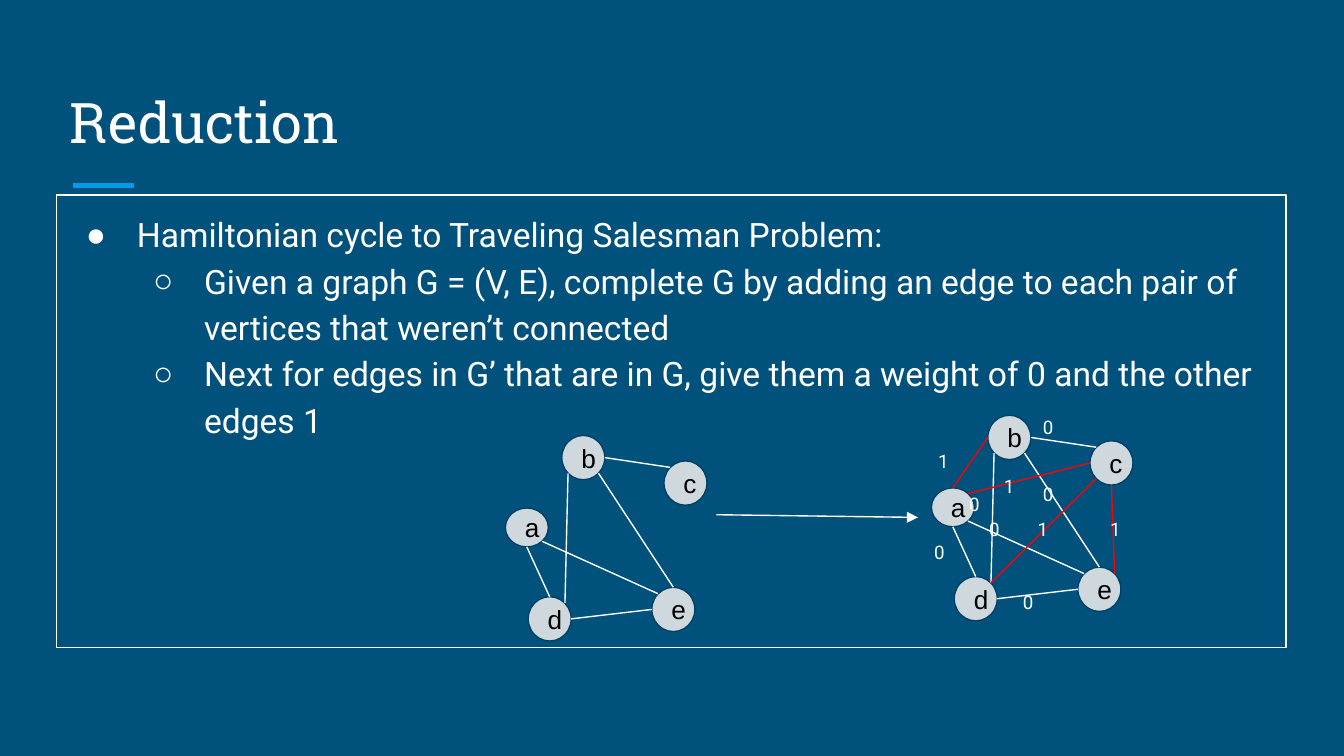
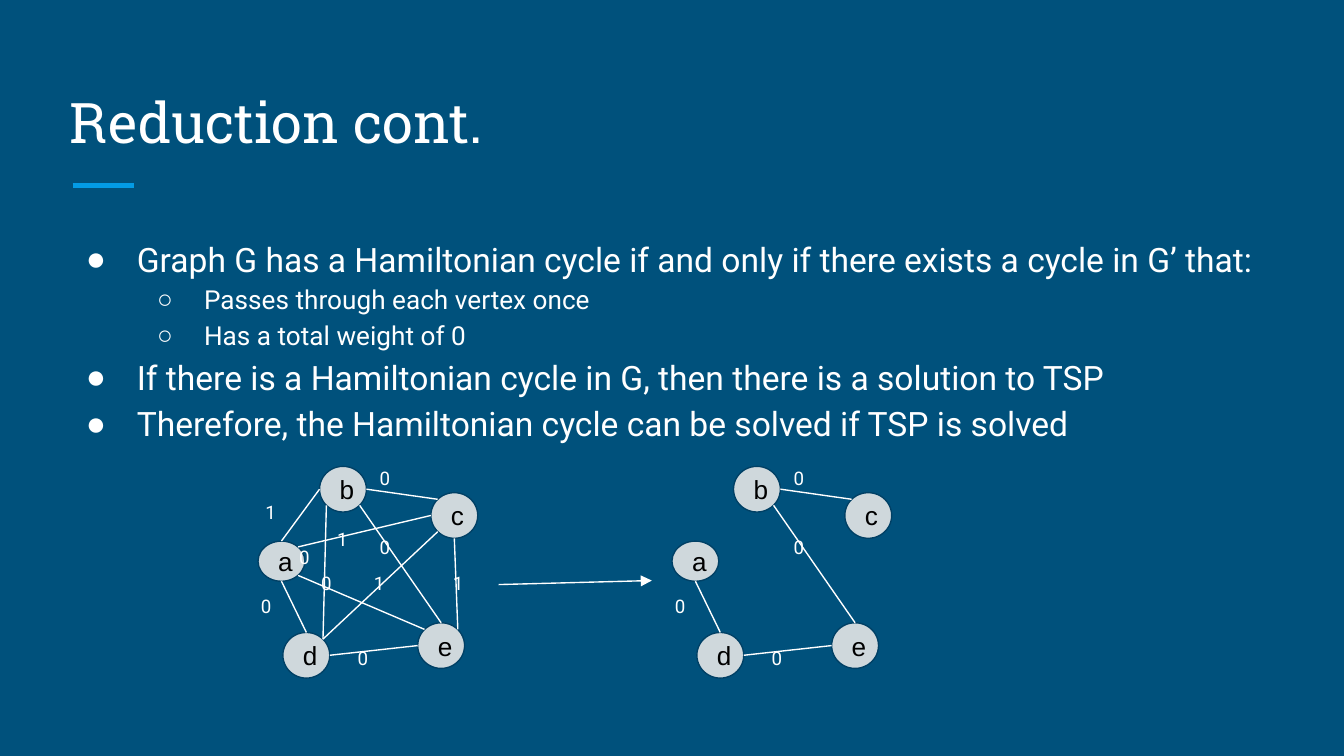
from dataclasses import dataclass
from enum import Enum

from lxml.etree import SubElement
from pptx import Presentation
from pptx.dml.color import RGBColor
from pptx.enum.shapes import MSO_CONNECTOR as Connector
from pptx.enum.shapes import MSO_SHAPE as Shape
from pptx.enum.text import MSO_ANCHOR as Anchor
from pptx.enum.text import MSO_AUTO_SIZE as AutoSize
from pptx.enum.text import PP_ALIGN as Align
from pptx.oxml.ns import qn
from pptx.util import Inches, Pt

NAVY = RGBColor(0x00, 0x51, 0x7C)
ACCENT = RGBColor(0x03, 0x9B, 0xE5)
WHITE = RGBColor(0xFF, 0xFF, 0xFF)
RED = RGBColor(0xFF, 0x00, 0x00)
BLACK = RGBColor(0x00, 0x00, 0x00)
NODE_FILL = RGBColor(0xCF, 0xD8, 0xDC)
NODE_LINE = RGBColor(0x00, 0x40, 0x65)

Point = tuple[float, float]


class Site(Enum):
    TOP = (0, -1)
    BOTTOM = (0, 1)
    LEFT = (-1, 0)
    RIGHT = (1, 0)
    TOP_LEFT = (-0.71, -0.71)
    TOP_RIGHT = (0.71, -0.71)
    BOTTOM_LEFT = (-0.71, 0.71)
    BOTTOM_RIGHT = (0.71, 0.71)


@dataclass(frozen=True)
class Node:
    left: float
    top: float
    height: float = 0.33
    width: float = 0.32

    def site(self, site: Site) -> Point:
        across, down = site.value
        return (self.left + self.width * (1 + across) / 2,
                self.top + self.height * (1 + down) / 2)


@dataclass(frozen=True)
class Edge:
    start: Site
    end: Site
    weight: int
    label: Point


@dataclass(frozen=True)
class Bullet:
    text: str
    level: int = 0
    size: int = 18


@dataclass(frozen=True)
class Graph:
    origin: Point
    edges: tuple[str, ...]
    scale: Point = (1, 1)
    weighted: bool = True
    added_color: RGBColor = WHITE

    def place(self, point: Point) -> Point:
        return (self.origin[0] + point[0] * self.scale[0],
                self.origin[1] + point[1] * self.scale[1])


@dataclass(frozen=True)
class Page:
    title: str
    body_top: float
    framed: bool
    bullets: tuple[Bullet, ...]
    graphs: tuple[Graph, ...]
    arrow: tuple[Point, Point]


NODES = {
    "a": Node(0, 0.54, 0.29),
    "b": Node(0.42, 0),
    "c": Node(1.18, 0.19),
    "d": Node(0.17, 1.2),
    "e": Node(1.09, 1.13),
}
EDGES = {
    "ad": Edge(Site.BOTTOM, Site.TOP, 0, (0.02, 0.85)),
    "ae": Edge(Site.BOTTOM_RIGHT, Site.TOP_LEFT, 0, (0.28, 0.49)),
    "bc": Edge(Site.RIGHT, Site.TOP_LEFT, 0, (0.83, -0.08)),
    "bd": Edge(Site.BOTTOM_LEFT, Site.TOP_RIGHT, 0, (0.43, 0.68)),
    "be": Edge(Site.BOTTOM_RIGHT, Site.TOP, 0, (0.83, 0.42)),
    "de": Edge(Site.RIGHT, Site.LEFT, 0, (0.68, 1.22)),
    "ba": Edge(Site.LEFT, Site.TOP, 1, (0.05, 0.17)),
    "ce": Edge(Site.BOTTOM, Site.TOP_RIGHT, 1, (1.33, 0.68)),
    "cd": Edge(Site.BOTTOM_LEFT, Site.TOP_RIGHT, 1, (0.79, 0.68)),
    "ac": Edge(Site.TOP_RIGHT, Site.LEFT, 1, (0.54, 0.36)),
}
COMPLETE = tuple(EDGES)
GIVEN = tuple(pair for pair, edge in EDGES.items() if edge.weight == 0)
CYCLE = ("ad", "bc", "be", "de")
WIDER = (1.09, 1.03)

PAGES = (
    Page(
        "Reduction", 1.45, True,
        (
            Bullet("Hamiltonian cycle to Traveling Salesman Problem:"),
            Bullet("Given a graph G = (V, E), complete G by adding an edge to each "
                   "pair of vertices that weren’t connected", 1),
            Bullet("Next for edges in G’ that are in G, give them a weight of 0 "
                   "and the other edges 1", 1),
        ),
        (Graph((3.76, 3.24), GIVEN, weighted=False),
         Graph((6.93, 3.09), COMPLETE, added_color=RED)),
        ((5.33, 3.83), (6.83, 3.85)),
    ),
    Page(
        "Reduction cont.", 1.63, False,
        (
            Bullet("Graph G has a Hamiltonian cycle if and only if there exists "
                   "a cycle in G’ that:"),
            Bullet("Passes through each vertex once", 1, 14),
            Bullet("Has a total weight of 0", 1, 14),
            Bullet("If there is a Hamiltonian cycle in G, then there is a solution to TSP"),
            Bullet("Therefore, the Hamiltonian cycle can be solved if TSP is solved"),
        ),
        (Graph((1.92, 3.47), COMPLETE, WIDER),
         Graph((5, 3.47), CYCLE, WIDER)),
        ((3.71, 4.35), (4.85, 4.32)),
    ),
)


def style_font(paragraph, name: str, size: int, color: RGBColor) -> None:
    """Set the typeface, size and colour of a paragraph."""
    font = paragraph.font
    font.name, font.size, font.color.rgb = name, Pt(size), color


def set_frame(frame, anchor: Anchor = Anchor.TOP) -> None:
    """Give a text frame equal insets, wrapping and an anchor."""
    frame.margin_left = frame.margin_right = Inches(0.1)
    frame.margin_top = frame.margin_bottom = Inches(0.1)
    frame.word_wrap, frame.auto_size = True, AutoSize.NONE
    frame.vertical_anchor = anchor


def add_line(slide, start: Point, end: Point, color: RGBColor = WHITE,
             width: float = 0.75, arrow: bool = False) -> None:
    """Draw a straight line, with an arrowhead at its end if asked."""
    ends = [Inches(value) for value in (*start, *end)]
    line = slide.shapes.add_connector(Connector.STRAIGHT, *ends)
    line.line.color.rgb, line.line.width = color, Pt(width)
    properties = line._element.spPr
    if arrow:
        SubElement(properties.find(qn("a:ln")), qn("a:tailEnd"), type="triangle")
    SubElement(properties, qn("a:effectLst"))


def add_title(slide, text: str) -> None:
    """Place the slide title and the accent rule beneath it."""
    title = slide.shapes.title
    title.left, title.top = Inches(0.42), Inches(0.5)
    title.width, title.height = Inches(9.15), Inches(0.75)
    set_frame(title.text_frame, Anchor.BOTTOM)
    title.text_frame.text = text
    para = title.text_frame.paragraphs[0]
    para.alignment = Align.LEFT
    style_font(para, "Roboto Slab", 30, WHITE)
    add_line(slide, (0.54, 1.38), (1, 1.38), ACCENT, 3)


def format_bullet(para, bullet: Bullet) -> None:
    """Write one bullet with its hanging indent and marker."""
    para.text, para.level, para.line_spacing = bullet.text, bullet.level, 1.15
    properties = para._p.get_or_add_pPr()
    hanging = 0.38 if bullet.size == 18 else 0.35
    properties.set("marL", str(Inches(0.5 * (bullet.level + 1))))
    properties.set("indent", str(-Inches(hanging)))
    color = SubElement(properties, qn("a:buClr"))
    SubElement(color, qn("a:srgbClr"), val=str(WHITE))
    SubElement(properties, qn("a:buFont"), typeface="Arial")
    SubElement(properties, qn("a:buChar"), char="●○"[bullet.level])
    style_font(para, "Roboto", bullet.size, WHITE)


def add_body(slide, page: Page) -> None:
    """Add the bulleted text, framed if the page asks for it."""
    box = slide.shapes.add_textbox(Inches(0.42), Inches(page.body_top),
                                   Inches(9.15), Inches(3.37))
    if page.framed:
        box.line.color.rgb, box.line.width = WHITE, Pt(0.75)
    frame = box.text_frame
    set_frame(frame)
    for index, bullet in enumerate(page.bullets):
        para = frame.add_paragraph() if index else frame.paragraphs[0]
        format_bullet(para, bullet)


def add_node(slide, graph: Graph, name: str) -> None:
    """Draw one labelled vertex."""
    node = NODES[name]
    left, top = graph.place((node.left, node.top))
    oval = slide.shapes.add_shape(
        Shape.OVAL, Inches(left), Inches(top),
        Inches(node.width * graph.scale[0]), Inches(node.height * graph.scale[1]))
    oval.shadow.inherit = False
    oval.fill.solid()
    oval.fill.fore_color.rgb = NODE_FILL
    oval.line.color.rgb, oval.line.width = NODE_LINE, Pt(0.75)
    set_frame(oval.text_frame, Anchor.MIDDLE)
    oval.text_frame.text = name
    para = oval.text_frame.paragraphs[0]
    para.alignment = Align.LEFT
    style_font(para, "Arial", 14, BLACK)


def add_weight(slide, graph: Graph, edge: Edge) -> None:
    """Write the weight of an edge beside it."""
    left, top = graph.place(edge.label)
    box = slide.shapes.add_textbox(Inches(left), Inches(top),
                                   Inches(0.09 * graph.scale[0]), Inches(0.37))
    set_frame(box.text_frame)
    box.text_frame.auto_size = AutoSize.SHAPE_TO_FIT_TEXT
    box.text_frame.text = str(edge.weight)
    style_font(box.text_frame.paragraphs[0], "Roboto", 10, WHITE)


def add_graph(slide, graph: Graph) -> None:
    """Draw the vertices, edges and weights of a graph."""
    for name in NODES:
        add_node(slide, graph, name)
    for pair in graph.edges:
        edge = EDGES[pair]
        start, end = (graph.place(NODES[name].site(site))
                      for name, site in zip(pair, (edge.start, edge.end)))
        add_line(slide, start, end, graph.added_color if edge.weight else WHITE)
    if graph.weighted:
        for pair in graph.edges:
            add_weight(slide, graph, EDGES[pair])


def main() -> None:
    """Build and save the deck."""
    deck = Presentation()
    deck.slide_width = Inches(10)
    deck.slide_height = Inches(10) * 9 // 16
    background = deck.slide_master.background.fill
    background.solid()
    background.fore_color.rgb = NAVY
    for page in PAGES:
        slide = deck.slides.add_slide(deck.slide_layouts[5])
        add_title(slide, page.title)
        add_body(slide, page)
        for graph in page.graphs:
            add_graph(slide, graph)
        add_line(slide, *page.arrow, arrow=True)
    deck.save("out.pptx")


if __name__ == "__main__":
    main()
